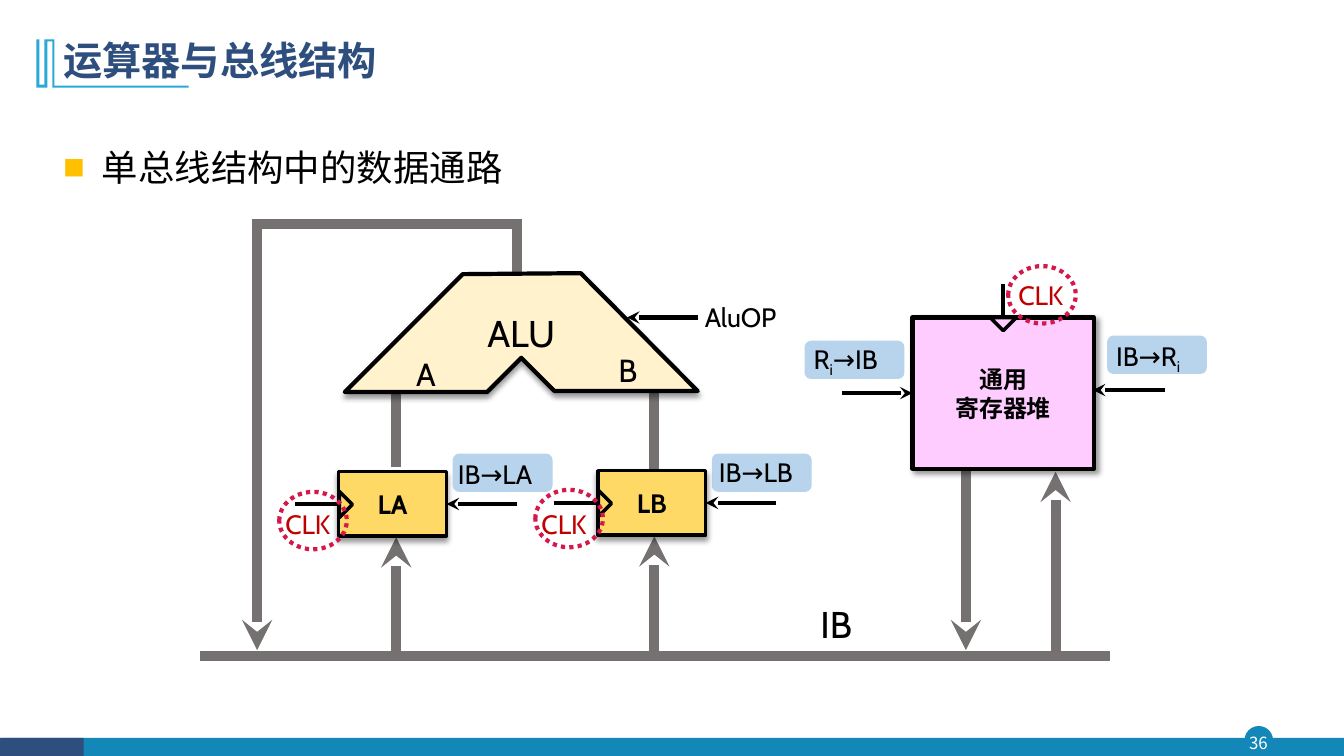
from dataclasses import dataclass

from lxml.etree import SubElement
from pptx import Presentation
from pptx.dml.color import RGBColor
from pptx.enum.dml import MSO_LINE
from pptx.enum.shapes import MSO_CONNECTOR, MSO_SHAPE as Shape
from pptx.enum.text import MSO_ANCHOR as Anchor, MSO_AUTO_SIZE as AutoSize, PP_ALIGN as Align
from pptx.oxml.ns import qn
from pptx.util import Inches, Pt


@dataclass(frozen=True)
class Theme:
    cjk: str = "Noto Sans CJK SC"
    latin: str = "Cabin"
    navy: str = "2E4E7E"
    teal: str = "1387B7"
    sky: str = "28A9D6"
    white: str = "FFFFFF"
    black: str = "000000"
    bus: str = "767171"
    chip: str = "9DC3E6"
    latch: str = "FFD966"
    alu: str = "FFF2CC"
    registers: str = "FFCCFF"
    clock: str = "C00000"
    ring: str = "D4184B"
    bullet: str = "FFC000"
    title_size: float = 28
    body_size: float = 26
    big_size: float = 26.6
    port_size: float = 22.8
    label_size: float = 19
    register_size: float = 17.1
    number_size: float = 12
    bus_width: float = 7.25
    wire_width: float = 3
    edge_width: float = 2.5


THEME = Theme()


@dataclass(frozen=True)
class Frame:
    left: float
    top: float
    width: float
    height: float

    def lengths(self) -> list:
        return [Inches(v) for v in (self.left, self.top, self.width, self.height)]


@dataclass(frozen=True)
class Wire:
    start: tuple
    end: tuple
    arrow: bool = False
    target: str = ""
    side: int = 0


@dataclass(frozen=True)
class Label:
    frame: Frame
    pieces: tuple
    color: str = THEME.black


@dataclass(frozen=True)
class Block:
    frame: Frame
    lines: tuple
    font: str
    size: float
    fill: str
    edge: float
    shadow_angle: int
    notch: Frame
    notch_turn: int


def rgb(value: str) -> RGBColor:
    return RGBColor.from_string(value)


def add_span(para, text: str, size: float, color: str, font: str = THEME.latin,
             bold: bool = False, subscript: bool = False):
    span = para.add_run()
    span.text = text
    span.font.size, span.font.bold, span.font.name = Pt(size), bold, font
    span.font.color.rgb = rgb(color)
    props = span._r.get_or_add_rPr()
    SubElement(props, qn("a:ea"), typeface=font)
    if subscript:
        props.set("baseline", "-25000")


def paint(shape, fill: str = "", line: str = "", width: float = 1):
    shape.shadow.inherit = False
    if fill:
        shape.fill.solid()
        shape.fill.fore_color.rgb = rgb(fill)
    else:
        shape.fill.background()
    if line:
        shape.line.color.rgb, shape.line.width = rgb(line), Pt(width)
    else:
        shape.line.fill.background()
    return shape


def add_shape(page, kind, frame: Frame, fill: str = "", line: str = "", width: float = 1):
    return paint(page.shapes.add_shape(kind, *frame.lengths()), fill, line, width)


def add_outline(page, points: list, fill: str, line: str = "", width: float = 1):
    corners = [(Inches(x), Inches(y)) for x, y in points]
    builder = page.shapes.build_freeform(*corners[0], scale=1.0)
    builder.add_line_segments(corners[1:], close=True)
    return paint(builder.convert_to_shape(), fill, line, width)


def cast_shadow(shape, angle: int):
    effects = shape._element.spPr.find(qn("a:effectLst"))
    shadow = SubElement(effects, qn("a:outerShdw"), blurRad=str(Pt(4)), dist=str(Pt(3)),
                        dir=str(angle * 60000), algn="tl", rotWithShape="0")
    color = SubElement(shadow, qn("a:srgbClr"), val=THEME.black)
    SubElement(color, qn("a:alpha"), val="40000")


def write_centered(shape, lines: tuple, size: float, font: str, bold: bool):
    text = shape.text_frame
    text.word_wrap, text.vertical_anchor = True, Anchor.MIDDLE
    for index, line in enumerate(lines):
        para = text.add_paragraph() if index else text.paragraphs[0]
        para.alignment = Align.CENTER
        add_span(para, line, size, THEME.black, font, bold)


def add_wire(page, wire: Wire, color: str, width: float, blocks: dict):
    line = page.shapes.add_connector(MSO_CONNECTOR.STRAIGHT,
                                     *(Inches(v) for v in wire.start + wire.end))
    if wire.target:
        line.end_connect(blocks[wire.target], wire.side)
    line.line.color.rgb, line.line.width = rgb(color), Pt(width)
    if wire.arrow:
        SubElement(line.line._get_or_add_ln(), qn("a:tailEnd"), type="stealth")
    SubElement(line._element.spPr, qn("a:effectLst"))


def add_label(page, label: Label):
    text = page.shapes.add_textbox(*label.frame.lengths()).text_frame
    text.word_wrap = True
    text.margin_left = text.margin_right = Inches(0.09)
    for index, piece in enumerate(label.pieces):
        add_span(text.paragraphs[0], piece, THEME.label_size, label.color,
                 subscript=index % 2 == 1)


def add_tag(page, frame: Frame, name: str, size: float):
    text = page.shapes.add_textbox(*frame.lengths()).text_frame
    text.word_wrap, text.auto_size = False, AutoSize.SHAPE_TO_FIT_TEXT
    text.paragraphs[0].alignment = Align.RIGHT
    add_span(text.paragraphs[0], name, size, THEME.black)


def add_block(page, block: Block):
    box = add_shape(page, Shape.RECTANGLE, block.frame, block.fill, THEME.black, block.edge)
    cast_shadow(box, block.shadow_angle)
    write_centered(box, block.lines, block.size, block.font, True)
    notch = add_shape(page, Shape.ISOSCELES_TRIANGLE, block.notch, block.fill,
                      THEME.black, THEME.edge_width)
    notch.rotation = block.notch_turn
    return box


def fill_placeholder(holder, frame: Frame, text: str, size: float, color: str, bold: bool):
    holder.left, holder.top, holder.width, holder.height = frame.lengths()
    holder.text_frame.auto_size = AutoSize.NONE
    para = holder.text_frame.paragraphs[0]
    add_span(para, text, size, color, THEME.cjk, bold)
    para.space_before = Pt(0)
    return para


def add_headings(page):
    title, body = page.shapes.title, page.placeholders[1]
    heading = fill_placeholder(title, Frame(0.53, 0.28, 11.5, 0.68), "运算器与总线结构",
                               THEME.title_size, THEME.navy, True)
    title.text_frame.vertical_anchor = Anchor.MIDDLE
    heading.alignment, heading.line_spacing = Align.LEFT, 0.9
    item = fill_placeholder(body, Frame(0.53, 1.03, 11.5, 1.01), "单总线结构中的数据通路",
                            THEME.body_size, THEME.black, False)
    body.text_frame.margin_top = Inches(0.19)
    props = item._p.get_or_add_pPr()
    props.set("marL", str(Inches(0.38)))
    props.set("indent", str(-Inches(0.38)))
    SubElement(SubElement(props, qn("a:buClr")), qn("a:srgbClr"), val=THEME.bullet)
    SubElement(props, qn("a:buSzPct"), val="60000")
    SubElement(props, qn("a:buFont"), typeface=THEME.cjk)
    SubElement(props, qn("a:buChar"), char="■")
    item.alignment, item.line_spacing = Align.JUSTIFY, 1.5


def add_decoration(page):
    add_shape(page, Shape.OVAL, Frame(12.35, 7.21, 0.27, 0.27), THEME.teal, THEME.teal)
    add_shape(page, Shape.RECTANGLE, Frame(0.01, 7.32, 13.32, 0.18), THEME.teal)
    add_shape(page, Shape.RECTANGLE, Frame(0, 7.32, 0.83, 0.18), THEME.navy)
    text = page.shapes.add_textbox(*Frame(12.32, 7.21, 0.32, 0.31).lengths()).text_frame
    text.margin_left = text.margin_right = text.margin_top = text.margin_bottom = 0
    text.word_wrap, text.vertical_anchor = True, Anchor.MIDDLE
    text.paragraphs[0].alignment = Align.CENTER
    add_span(text.paragraphs[0], "36", THEME.number_size, THEME.white, THEME.cjk)
    add_outline(page, [(0.54, 0.39), (0.54, 0.85), (1.87, 0.85), (1.87, 0.87), (0.52, 0.87),
                       (0.52, 0.41), (0.47, 0.41), (0.47, 0.87), (0.36, 0.87), (0.36, 0.39),
                       (0.39, 0.39), (0.39, 0.84), (0.44, 0.84), (0.44, 0.39)], THEME.sky)


def latch(name: str, left: float, top: float) -> Block:
    return Block(Frame(left, top, 1.07, 0.64), (name,), THEME.latin, THEME.label_size,
                 THEME.latch, THEME.edge_width, 90, Frame(left - 0.06, top + 0.26, 0.26, 0.13), 90)


BLOCKS = {
    "LA": latch("LA", 3.36, 4.68),
    "LB": latch("LB", 5.93, 4.67),
    "registers": Block(Frame(9.05, 3.15, 1.8, 1.5), ("通用", "寄存器堆"), THEME.cjk,
                       THEME.register_size, THEME.registers, THEME.wire_width, 45,
                       Frame(9.82, 3.15, 0.26, 0.13), 180),
}
BUS_WIRES = [
    Wire((3.93, 4.63), (3.93, 3.9)), Wire((6.49, 4.71), (6.49, 3.89)),
    Wire((2.55, 2.22), (5.05, 2.22)), Wire((5.13, 2.73), (5.13, 2.17)),
    Wire((5.05, 2.22), (5.18, 2.22)), Wire((2.5, 2.22), (2.55, 2.22)),
    Wire((2.55, 2.22), (2.55, 6.45), True), Wire((3.93, 6.46), (3.93, 5.33), True),
    Wire((6.49, 6.46), (6.49, 5.32), True), Wire((9.58, 4.65), (9.58, 6.45), True),
    Wire((10.47, 6.51), (10.47, 4.68), True), Wire((1.98, 6.51), (11.01, 6.51)),
]
SIGNAL_WIRES = [
    Wire((2.93, 5), (3.36, 5), False, "LA", 1), Wire((5.13, 5), (4.43, 5), True, "LA", 3),
    Wire((5.49, 4.99), (5.93, 4.99), False, "LB", 1), Wire((7.7, 4.99), (7, 4.99), True, "LB", 3),
    Wire((8.35, 3.9), (9.05, 3.9), True, "registers", 1), Wire((11.55, 3.87), (10.84, 3.87), True),
    Wire((9.95, 2.82), (9.95, 3.15), False, "registers", 0), Wire((6.92, 3.15), (6.22, 3.15), True),
]
CHIPS = [(7.98, 3.38), (7.06, 4.5), (4.49, 4.5), (10.98, 3.33)]
RINGS = [(2.77, 4.88), (5.31, 4.86), (10, 2.64)]
LABELS = [Label(Frame(x, y, 0.83, 0.34), ("CLK",), THEME.clock)
          for x, y in ((2.74, 4.99), (5.28, 4.99), (10.01, 2.72))] + [
    Label(Frame(4.45, 4.49, 1.31, 0.34), ("IB→LA",)),
    Label(Frame(7.04, 4.47, 1.07, 0.34), ("IB→LB",)),
    Label(Frame(7.98, 3.35, 0.99, 0.34), ("R", "i", "→IB")),
    Label(Frame(10.98, 3.32, 1.03, 0.34), ("IB→R", "i")),
    Label(Frame(6.9, 2.94, 1.31, 0.34), ("AluOP",)),
]


def add_diagram(page):
    for left, top in CHIPS:
        chip = add_shape(page, Shape.ROUNDED_RECTANGLE, Frame(left, top, 0.99, 0.38), THEME.chip)
        color = chip._element.spPr.find(qn("a:solidFill"))[0]
        SubElement(color, qn("a:alpha"), val="72000")
    for wire in BUS_WIRES:
        add_wire(page, wire, THEME.bus, THEME.bus_width, {})
    boxes = {name: add_block(page, block) for name, block in BLOCKS.items()}
    alu = add_outline(page, [(4.59, 2.72), (3.42, 3.89), (4.83, 3.89), (5.17, 3.55), (5.5, 3.88),
                             (6.92, 3.88), (5.76, 2.71)], THEME.alu, THEME.black, THEME.wire_width)
    cast_shadow(alu, 90)
    write_centered(alu, ("ALU",), THEME.big_size, THEME.latin, False)
    for wire in SIGNAL_WIRES:
        add_wire(page, wire, THEME.black, THEME.wire_width, boxes)
    for label in LABELS:
        add_label(page, label)
    add_tag(page, Frame(7.96, 5.92, 0.59, 0.55), "IB", THEME.big_size)
    add_tag(page, Frame(3.98, 3.47, 0.44, 0.48), "A", THEME.port_size)
    add_tag(page, Frame(6, 3.43, 0.42, 0.48), "B", THEME.port_size)
    for left, top in RINGS:
        ring = add_shape(page, Shape.OVAL, Frame(left, top, 0.67, 0.57), "",
                         THEME.ring, THEME.wire_width)
        ring.line.dash_style = MSO_LINE.ROUND_DOT


def main():
    deck = Presentation()
    deck.slide_width, deck.slide_height = Inches(13.33), Inches(7.5)
    page = deck.slides.add_slide(deck.slide_layouts[1])
    add_decoration(page)
    add_headings(page)
    add_diagram(page)
    deck.save("out.pptx")


if __name__ == "__main__":
    main()
